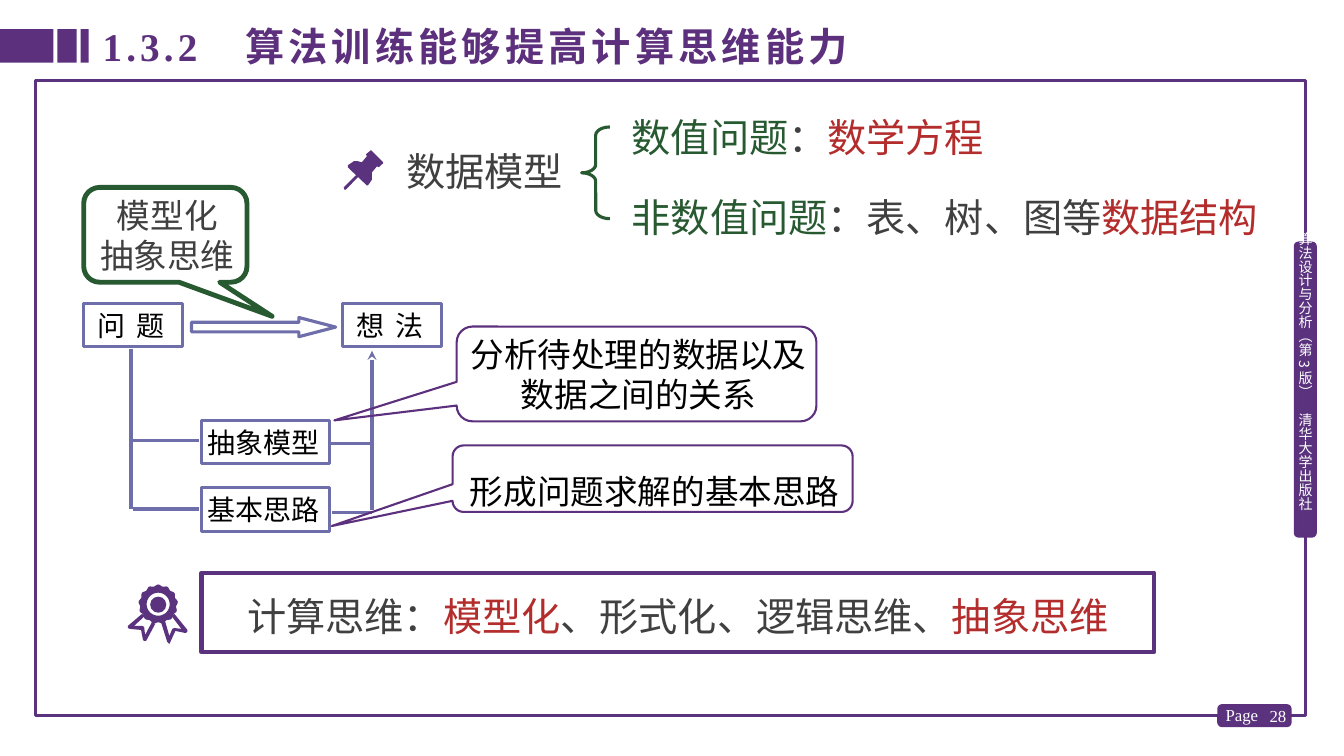
from math import cos, pi, sin

from lxml import etree
from pptx import Presentation
from pptx.dml.color import RGBColor
from pptx.enum.shapes import MSO_CONNECTOR, MSO_SHAPE
from pptx.enum.text import MSO_ANCHOR, PP_ALIGN
from pptx.oxml.ns import qn
from pptx.util import Pt

RECTANGLE = MSO_SHAPE.RECTANGLE
ROUNDED = MSO_SHAPE.ROUNDED_RECTANGLE
CALLOUT = MSO_SHAPE.ROUNDED_RECTANGULAR_CALLOUT
STRAIGHT = MSO_CONNECTOR.STRAIGHT
LEFT, CENTER, RIGHT = PP_ALIGN.LEFT, PP_ALIGN.CENTER, PP_ALIGN.RIGHT
MIDDLE = MSO_ANCHOR.MIDDLE

COLORS = {
    "purple": "5A327D",
    "violet": "5C307D",
    "blue": "6E6EAA",
    "green": "285A32",
    "red": "B42D2D",
    "gray": "404040",
    "black": "000000",
    "white": "FFFFFF",
}
CHINESE = "Noto Sans CJK SC"
SERIF = "Times New Roman"

presentation = Presentation()
presentation.slide_width, presentation.slide_height = Pt(960), Pt(540)
slide = presentation.slides.add_slide(presentation.slide_layouts[6])
shapes = slide.shapes


def add_box(kind, box, fill=None, line=None, width=1.0, adjustments=()):
    """Add a preset shape, or a text box when kind is None."""
    lengths = [Pt(length) for length in box]
    if kind is None:
        return shapes.add_textbox(*lengths)
    shape = shapes.add_shape(kind, *lengths)
    shape.shadow.inherit = False
    for index, value in enumerate(adjustments):
        shape.adjustments[index] = value
    if fill:
        shape.fill.solid()
        shape.fill.fore_color.rgb = RGBColor.from_string(COLORS[fill])
    else:
        shape.fill.background()
    if line:
        shape.line.color.rgb = RGBColor.from_string(COLORS[line])
        shape.line.width = Pt(width)
    else:
        shape.line.fill.background()
    return shape


def write(shape, text, color="black", size=28, font=CHINESE, bold=False, align=LEFT,
          insets=(7.2, 3.6, 7.2, 3.6), line_spacing=None, spacing=0):
    """Write lines of text; a list holds (text, color) runs of one paragraph."""
    frame = shape.text_frame
    frame.word_wrap = True
    frame.vertical_anchor = MIDDLE
    (frame.margin_left, frame.margin_top,
     frame.margin_right, frame.margin_bottom) = [Pt(inset) for inset in insets]
    if isinstance(text, str):
        lines = [[(line, color)] for line in text.split("\n")]
    else:
        lines = [text]
    for index, runs in enumerate(lines):
        paragraph = frame.add_paragraph() if index else frame.paragraphs[0]
        paragraph.alignment = align
        paragraph.line_spacing = line_spacing
        for run_text, run_color in runs:
            run = paragraph.add_run()
            run.text = run_text
            run.font.size = Pt(size)
            run.font.bold = bold
            run.font.name = font
            run.font.color.rgb = RGBColor.from_string(COLORS[run_color])
            properties = run._r.get_or_add_rPr()
            properties.set("spc", str(round(spacing * 100)))
            etree.SubElement(properties, qn("a:ea")).set("typeface", CHINESE)


# Frame and page number
add_box(RECTANGLE, (25.2, 57.6, 907.2, 453.6), line="purple", width=2.25)
add_box(ROUNDED, (870.5, 504, 51.1, 14.4), fill="purple", line="violet", width=2)
write(add_box(None, (896.4, 496.8, 29.5, 28.8)), "28", "white", 12, SERIF, align=RIGHT)
write(add_box(None, (868.3, 499.7, 38.2, 22.3)), "Page", "white", 12, SERIF)

# Title with its three bars
for left, width in ((0, 38.2), (41, 13.7), (57.6, 5.8)):
    add_box(RECTANGLE, (left, 20.9, width, 23.8), fill="violet")
write(add_box(None, (66.2, 12.2, 686.9, 41)), "1.3.2　算法训练能够提高计算思维能力",
      "violet", font=SERIF, bold=True, spacing=3)

# Book name on the right side
add_box(ROUNDED, (925.2, 173.5, 14.4, 209.5), fill="purple", line="violet", width=2)
book_name = add_box(None, (925, 165.6, 14.4, 226))
write(book_name, "算法设计与分析（第 3 版）　清华大学出版社", "white", 10, insets=(0, 0, 0, 0))
book_name.text_frame._txBody.bodyPr.set("vert", "eaVert")

# Flow boxes
for text, left, top, width, indent, spacing in (
    ("问 题", 59.8, 216.7, 70.6, 9.6, 1.7),
    ("想 法", 244.8, 216.7, 70.6, 9.6, 1.7),
    ("抽象模型", 144, 300.2, 91.4, 4.3, 0),
    ("基本思路", 144, 348.5, 91.4, 4.3, 0),
):
    step = add_box(RECTANGLE, (left, top, width, 31), line="blue", width=2.25)
    write(step, text, size=20, insets=(indent, 0.7, 4.3, 0.7), spacing=spacing)
add_box(MSO_SHAPE.RIGHT_ARROW, (136.8, 226.8, 103, 13.7), line="blue", width=2.25,
        adjustments=(0.5, 1.918))

# Flow lines; the one up to the idea ends in an arrowhead
for start_x, start_y, end_x, end_y, arrow in (
    (93.6, 249.1, 93.6, 363.6, False),
    (95, 314.6, 141.8, 314.6, False),
    (95, 363.6, 141.8, 363.6, False),
    (265.7, 364.3, 265.7, 250.6, True),
    (235.4, 316.8, 265, 316.8, False),
    (236.9, 365.8, 265.7, 365.8, False),
):
    connector = shapes.add_connector(STRAIGHT, Pt(start_x), Pt(start_y), Pt(end_x), Pt(end_y))
    connector.line.color.rgb = RGBColor.from_string(COLORS["blue"])
    connector.line.width = Pt(2.25)
    if arrow:
        etree.SubElement(connector.line._get_or_add_ln(), qn("a:tailEnd")).set("type", "stealth")
    etree.SubElement(connector._element.spPr, qn("a:effectLst"))

# Data model and its two kinds of problem
write(add_box(None, (283, 101.5, 131.8, 41)), "数据模型", "gray")
add_box(MSO_SHAPE.LEFT_BRACE, (415.4, 90.7, 20.2, 65.5), line="green", width=2.25,
        adjustments=(0.293, 0.5))
for top, runs in (
    (72, [("数值问题", "green"), ("：", "gray"), ("数学方程", "red")]),
    (128.9, [("非数值问题", "green"), ("：表、树、图等", "gray"), ("数据结构", "red")]),
):
    write(add_box(None, (444.2, top, 468.7, 44.6)), runs, line_spacing=1.2)

# Callouts
for text, box, pointer, line, width, color, font, top_inset in (
    ("模型化\n抽象思维", (59.8, 133.9, 116.6, 67.7), (0.654, 0.86), "green", 3.5,
     "gray", CHINESE, 0),
    ("分析待处理的数据以及数据之间的关系", (326.2, 233.3, 257, 67.7), (-0.84, 0.49),
     "violet", 1.5, "black", "Calibri", 0),
    ("形成问题求解的基本思路", (323.3, 318.2, 285.8, 47.5), (-0.802, 0.712),
     "violet", 1.5, "black", "Calibri", 18),
):
    callout = add_box(CALLOUT, box, line=line, width=width, adjustments=(*pointer, 0.167))
    write(callout, text, color, 24, font, align=CENTER, insets=(2.9, top_inset, 0, 0),
          line_spacing=Pt(28.6))

# Summary
summary = add_box(RECTANGLE, (144, 409, 680.4, 56.9), line="purple", width=3)
write(summary, [("计算思维：", "gray"), ("模型化", "red"), ("、形式化、逻辑思维、", "gray"),
                ("抽象思维", "red")], align=CENTER, line_spacing=Pt(38))

# Pin and medal icons: each outline is a list of closed contours
pin_head = [(273.6, 115.9), (265, 107.3), (261.4, 110.2), (262.1, 111.6), (258.5, 115.9),
            (255.6, 115.2), (252.7, 115.2), (248.4, 118.1), (248.4, 119.5), (262.1, 132.5),
            (262.8, 132.5), (265.7, 128.2), (265.7, 123.1), (269.3, 118.8), (270.7, 119.5),
            (273.6, 116.6)]
pin_needle = [(246.2, 135.7), (245.5, 133.9), (254.9, 124.6), (256.3, 124.6), (256.3, 126),
              (247, 135.4)]
right_ribbon = [(121, 460), (119.5, 458.6), (115.2, 445), (118.1, 444.2), (121, 454.3),
                (123.1, 449.3), (124.6, 448.6), (129.6, 449.3), (122.4, 439.9),
                (124.6, 438.5), (133.9, 450), (133.9, 451.4), (132.5, 452.2),
                (125.3, 450.7), (121.7, 458.6)]
left_ribbon = [(103, 457.9), (102.2, 457.2), (100.8, 450), (92.9, 449.3), (91.4, 448.6),
               (91.4, 447.1), (101.5, 438.5), (103.7, 439.9), (95.8, 447.1), (101.5, 447.1),
               (103, 447.8), (103.7, 453.6), (108.7, 444.2), (110.9, 445.7), (104.4, 457.9)]
angles = [2 * pi * step / 104 for step in range(104)]
medal_edge, medal_hole = [
    [(113 + (radius + ripple * cos(13 * angle)) * sin(angle),
      431.6 - (radius + ripple * cos(13 * angle)) * cos(angle)) for angle in angles]
    for radius, ripple in ((13.5, 0.6), (8.2, 0))
]
for contours in ([pin_head], [pin_needle], [right_ribbon], [left_ribbon],
                 [medal_edge, medal_hole[::-1]]):
    points = [[(Pt(x), Pt(y)) for x, y in contour] for contour in contours]
    builder = shapes.build_freeform(*points[0][0])
    builder.add_line_segments(points[0][1:], close=True)
    for contour in points[1:]:
        builder.move_to(*contour[0])
        builder.add_line_segments(contour[1:], close=True)
    icon = builder.convert_to_shape()
    icon.shadow.inherit = False
    icon.fill.solid()
    icon.fill.fore_color.rgb = RGBColor.from_string(COLORS["purple"])
    icon.line.fill.background()
add_box(MSO_SHAPE.OVAL, (107.3, 426.2, 11.5, 11.5), fill="purple")

presentation.save("out.pptx")
